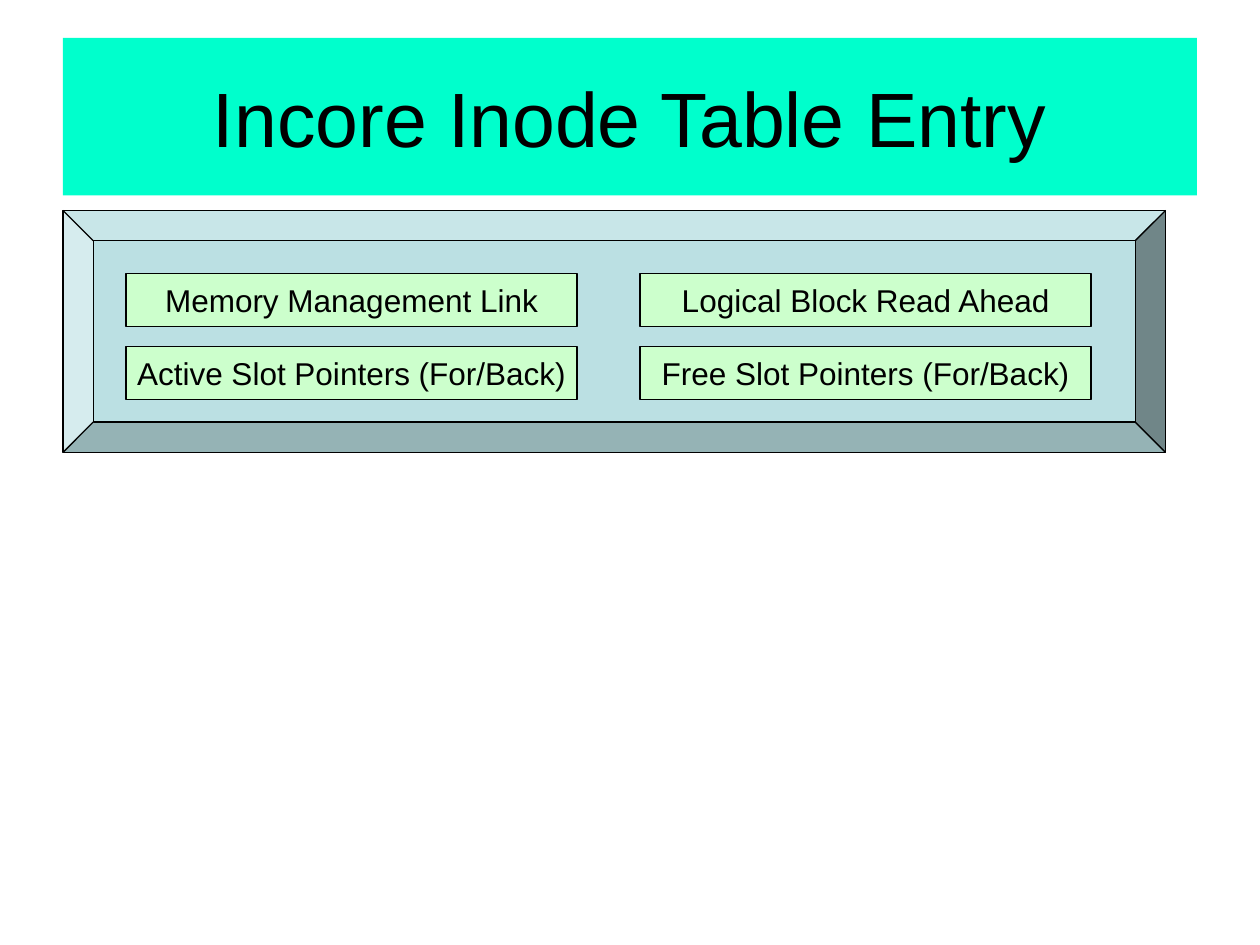
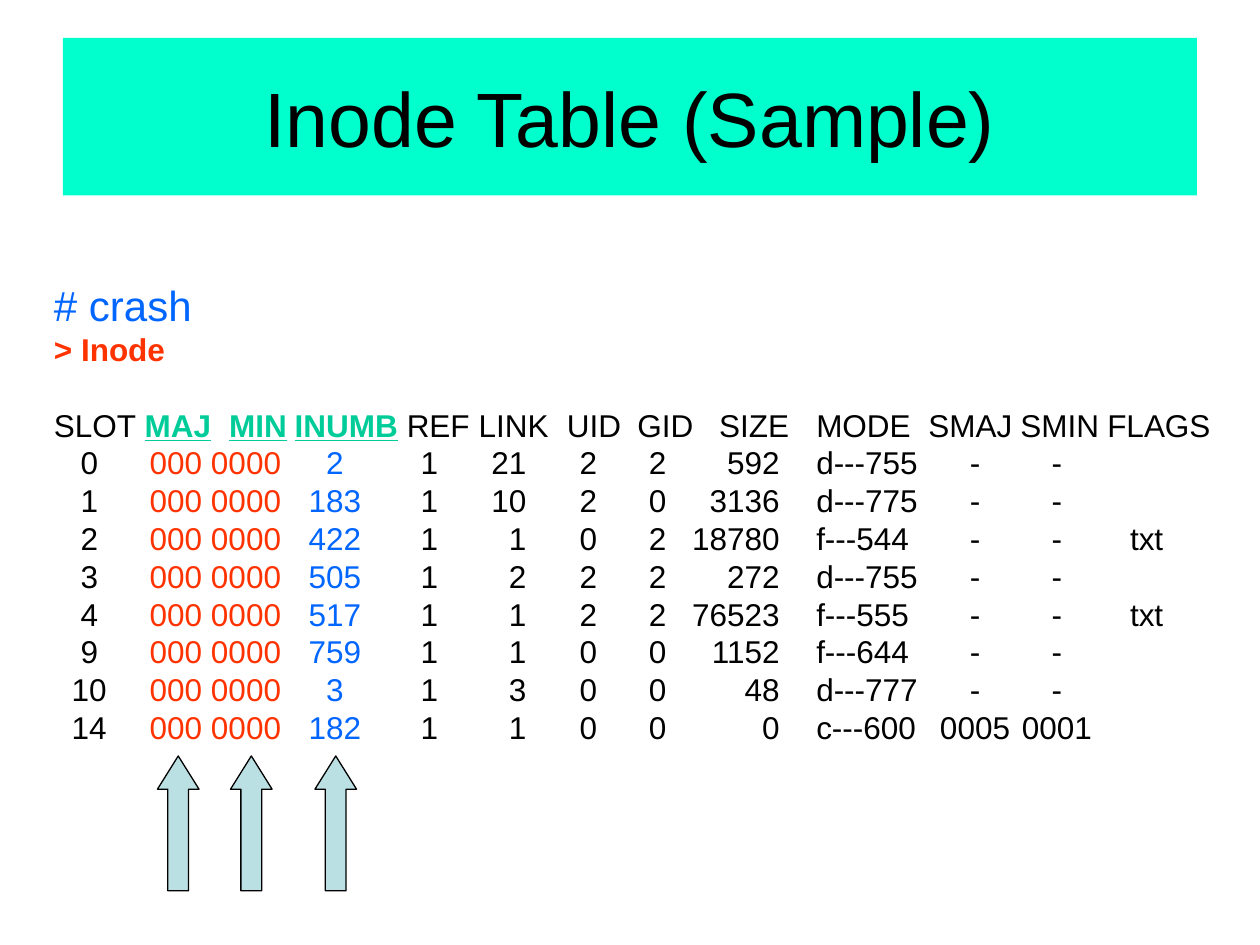
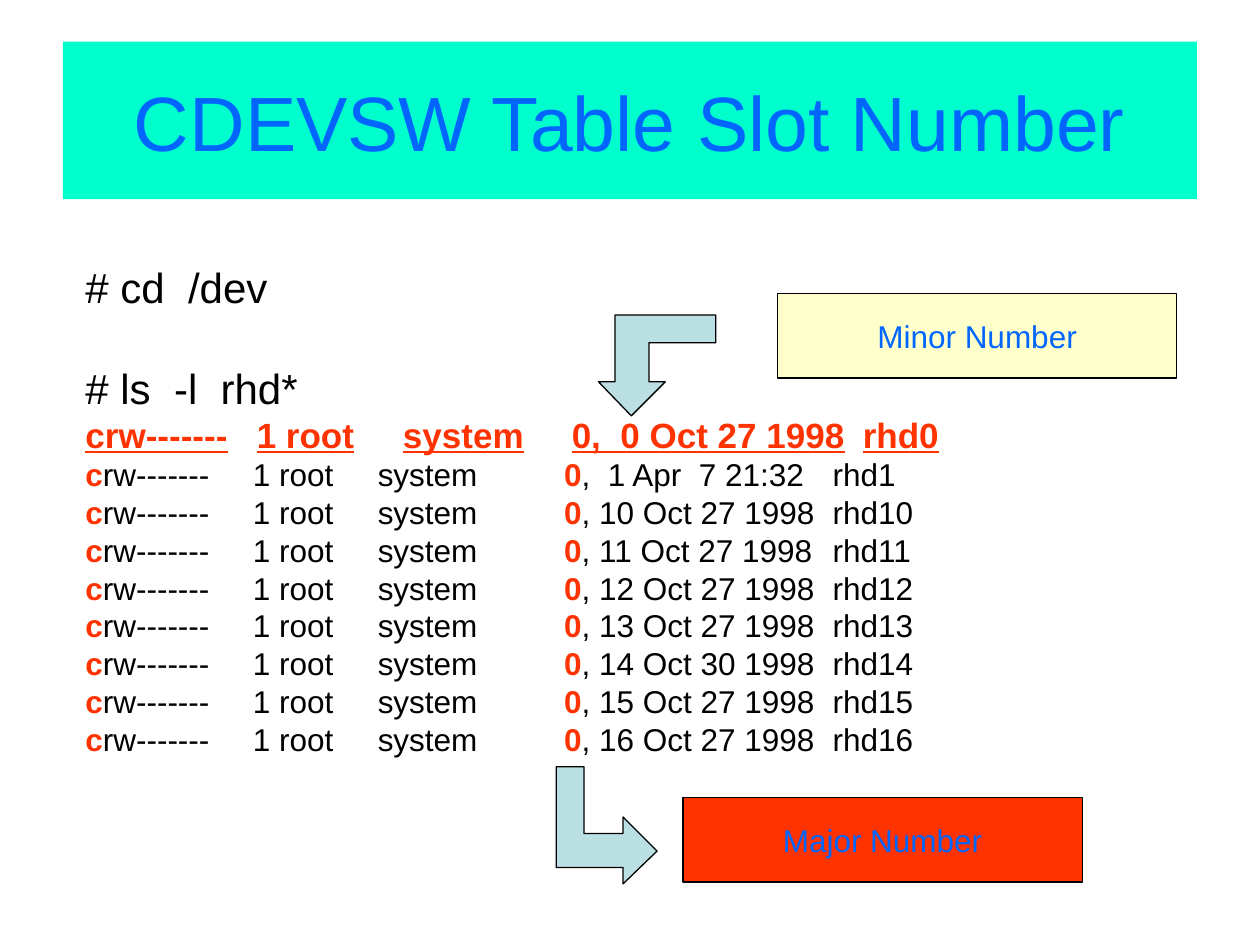
from lxml import etree
from pptx import Presentation, util as u
from pptx.dml.color import RGBColor
from pptx.enum import shapes, text
from pptx.oxml.ns import qn

COLORS = {
    "band": "00FFCC", "panel": "BBE0E3", "field": "CCFFCC", "note": "FFFFCC",
    "black": "000000", "red": "FF3300", "blue": "0066FF", "green": "00CC99",
}
FONT = "Arial"
LINE_PITCH = 1.2
SHAPE = shapes.MSO_SHAPE

HEADER_TABS = [(position, "l") for position in (
    0.72, 1.39, 1.91, 2.8, 3.37, 4.07, 4.63, 5.28, 6.05, 6.94, 7.67, 8.36)]
INODE_TABS = [
    (0.28, "ctr"), (0.76, "l"), (2.23, "ctr"), (2.98, "ctr"), (3.75, "r"),
    (4.24, "ctr"), (4.79, "ctr"), (5.76, "r"), (6.05, "l"), (7.31, "ctr"),
    (7.96, "ctr"), (8.54, "l"),
]
INODES = [
    ("0", "2", "1 21 2 2 592 d---755 - -"),
    ("1", "183", "1 10 2 0 3136 d---775 - -"),
    ("2", "422", "1 1 0 2 18780 f---544 - - txt"),
    ("3", "505", "1 2 2 2 272 d---755 - -"),
    ("4", "517", "1 1 2 2 76523 f---555 - - txt"),
    ("9", "759", "1 1 0 0 1152 f---644 - -"),
    ("10", "3", "1 3 0 0 48 d---777 - -"),
    ("14", "182", "1 1 0 0 0 c---600 0005 0001"),
]
DEVICE_TABS = [(position, "l") for position in (1.33, 2.32, 3.8, 5.93)]
FIRST_DEVICE_TABS = [(position, "l") for position in (1.36, 2.52, 3.86, 6.17)]
DEVICES = [
    (" 1 Apr  7 21:32", "rhd1"),
    ("10 Oct 27 1998", "rhd10"),
    ("11 Oct 27 1998", "rhd11"),
    ("12 Oct 27 1998", "rhd12"),
    ("13 Oct 27 1998", "rhd13"),
    ("14 Oct 30 1998", "rhd14"),
    ("15 Oct 27 1998", "rhd15"),
    ("16 Oct 27 1998", "rhd16"),
]
ELBOW_ARROW = [(0, 58), (53, 58), (53, 27), (40, 27), (67, 0),
               (93, 27), (80, 27), (80, 80), (0, 80)]


def rgb(name):
    return RGBColor.from_string(COLORS[name])


def add_run(paragraph, content, size=18, color="black", bold=False, underline=False):
    run = paragraph.add_run()
    run.text = content
    font = run.font
    font.name = FONT
    font.size = u.Pt(size)
    font.color.rgb = rgb(color)
    font.bold = bold
    font.underline = underline


def style_shape(shape, fill, outlined=True):
    shape.shadow.inherit = False
    shape.fill.solid()
    shape.fill.fore_color.rgb = rgb(fill)
    if outlined:
        shape.line.color.rgb = rgb("black")
        shape.line.width = u.Pt(0.75)
    else:
        shape.line.fill.background()


def add_box(slide, kind, left, top, width, height, fill, outlined=True):
    shape = slide.shapes.add_shape(kind, *map(u.Inches, (left, top, width, height)))
    style_shape(shape, fill, outlined)
    return shape


def add_label(shape, content, wrap=False, **style):
    frame = shape.text_frame
    frame.word_wrap = wrap
    frame.vertical_anchor = text.MSO_ANCHOR.MIDDLE
    paragraph = frame.paragraphs[0]
    paragraph.alignment = text.PP_ALIGN.CENTER
    add_run(paragraph, content, **style)


def add_title(slide, content, top=0.3, color="black"):
    band = add_box(slide, SHAPE.RECTANGLE, 0.5, top, 9, 1.25, "band", outlined=False)
    add_label(band, content, wrap=True, size=44, color=color)


def add_field(slide, content, left, top, width, height, fill="field", color="black"):
    field = add_box(slide, SHAPE.FLOWCHART_PROCESS, left, top, width, height, fill)
    add_label(field, content, color=color)


def add_elbow_arrow(slide, left, top, rotation):
    builder = slide.shapes.build_freeform(*ELBOW_ARROW[0], scale=u.Inches(0.01))
    builder.add_line_segments(ELBOW_ARROW[1:], close=True)
    arrow = builder.convert_to_shape(u.Inches(left), u.Inches(top))
    style_shape(arrow, "panel")
    arrow.rotation = rotation


def add_listing(slide, left, top, width, height):
    frame = slide.shapes.add_textbox(*map(u.Inches, (left, top, width, height))).text_frame
    frame.word_wrap = True
    return frame


def add_line(frame, *pieces, size=18, tabs=(), gap_lines=0):
    paragraph = frame.paragraphs[0]
    if paragraph.runs:
        paragraph = frame.add_paragraph()
    paragraph.line_spacing = u.Pt(size * LINE_PITCH)
    if gap_lines:
        paragraph.space_before = u.Pt(size * LINE_PITCH * gap_lines)
    if tabs:
        properties = paragraph._p.get_or_add_pPr()
        tab_list = etree.SubElement(properties, qn("a:tabLst"))
        for position, alignment in tabs:
            etree.SubElement(tab_list, qn("a:tab"), pos=str(u.Inches(position)), algn=alignment)
    for content, style in pieces:
        add_run(paragraph, content, size=size, **style)


def build_entry_slide(slide):
    add_title(slide, "Incore Inode Table Entry")
    add_box(slide, SHAPE.BEVEL, 0.5, 1.67, 8.75, 1.92, "panel")
    rows = [
        ("Memory Management Link", "Logical Block Read Ahead"),
        ("Active Slot Pointers (For/Back)", "Free Slot Pointers (For/Back)"),
    ]
    for row, labels in enumerate(rows):
        for column, label in enumerate(labels):
            add_field(slide, label, 1 + 4.08 * column, 2.17 + 0.58 * row, 3.58, 0.42)


def build_inode_slide(slide):
    add_title(slide, "Inode Table (Sample)")
    listing = add_listing(slide, 0.33, 2.17, 9.42, 3.8)
    add_line(listing, ("# crash", {"color": "blue"}), size=24)
    add_line(listing, ("> Inode", {"color": "red", "bold": True}))
    columns = "REF LINK UID GID SIZE MODE SMAJ SMIN FLAGS".split()
    add_line(
        listing,
        ("SLOT\t", {}),
        ("MAJ\tMIN\tINUMB", {"color": "green", "bold": True, "underline": True}),
        ("\t" + "\t".join(columns), {}),
        tabs=HEADER_TABS, gap_lines=1,
    )
    for slot, number, details in INODES:
        add_line(
            listing,
            (f"\t{slot}\t", {}),
            ("000 0000\t", {"color": "red"}),
            (number, {"color": "blue"}),
            ("\t" + "\t".join(details.split()), {}),
            tabs=INODE_TABS,
        )
    for left in (1.25, 1.83, 2.5):
        arrow = add_box(slide, SHAPE.UP_ARROW, left, 6, 0.33, 1.07, "panel")
        arrow.adjustments[1] = 0.8


def build_device_slide(slide):
    add_title(slide, "CDEVSW Table Slot Number", top=0.33, color="blue")
    listing = add_listing(slide, 0.58, 2.03, 8.83, 5.04)
    add_line(listing, ("# cd  /dev", {}), size=24)
    add_line(listing, ("# ls  -l  rhd*", {}), size=24, gap_lines=1)
    marked = {"color": "red", "bold": True}
    add_line(
        listing,
        ("crw-------\t1 root\tsystem\t0,  0 Oct 27 1998\trhd0", {**marked, "underline": True}),
        size=20, tabs=FIRST_DEVICE_TABS,
    )
    for minor_and_date, device in DEVICES:
        add_line(
            listing,
            ("c", marked),
            ("rw-------\t1 root\tsystem\t", {}),
            ("0", marked),
            (f", {minor_and_date}\t{device}", {}),
            tabs=DEVICE_TABS,
        )
    add_field(slide, "Major Number", 5.42, 6.33, 3.17, 0.67, fill="red", color="blue")
    add_field(slide, "Minor Number", 6.17, 2.33, 3.17, 0.67, fill="note", color="blue")
    add_elbow_arrow(slide, 4.35, 6.15, 90)
    add_elbow_arrow(slide, 4.75, 2.5, 180)


def main():
    presentation = Presentation()
    presentation.slide_width = u.Inches(10)
    presentation.slide_height = u.Inches(7.5)
    blank = presentation.slide_layouts[6]
    for build in (build_entry_slide, build_inode_slide, build_device_slide):
        build(presentation.slides.add_slide(blank))
    presentation.save("out.pptx")


if __name__ == "__main__":
    main()
